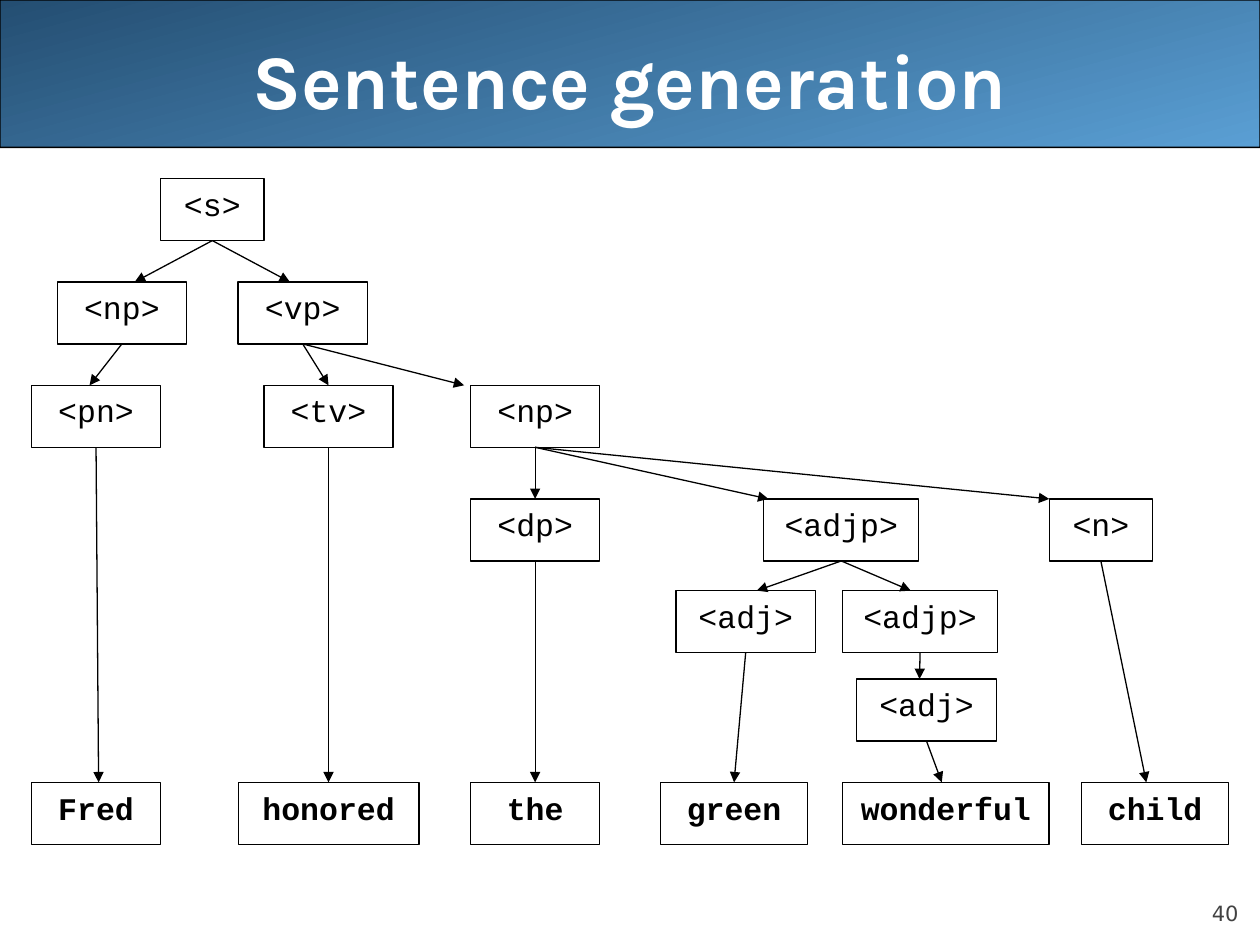
import collections

import lxml.etree
import pptx
import pptx.dml.color
import pptx.enum.shapes
import pptx.enum.text
import pptx.oxml.ns
import pptx.util

COLORS = {"black": "000000", "white": "FFFFFF", "dark": "244E72",
          "light": "5A9FD4", "gray": "424242"}
ALIGN = pptx.enum.text.PP_ALIGN
ANCHOR = pptx.enum.text.MSO_ANCHOR
SHAPE = pptx.enum.shapes.MSO_SHAPE

Box = collections.namedtuple("Box", "left top width height")
# left and width count grid columns; tip is the share of the node's width
# at which the arrow from its parent arrives.
Node = collections.namedtuple("Node", "text left level width parent tip")

COLUMNS, ROWS, NODE_ROWS = 46.34, 25.75, 2.4
LEVEL_ROWS = [0, 4, 8, 12.4, 15.95, 19.37, 23.37]
WORD_LEVEL = len(LEVEL_ROWS) - 1
NODES = {
    "sentence": Node("<s>", 5, 0, 4, None, None),
    "subject": Node("<np>", 1, 1, 5, "sentence", 0.6),
    "predicate": Node("<vp>", 8, 1, 5, "sentence", 0.4),
    "proper noun": Node("<pn>", 0, 2, 5, "subject", 0.45),
    "verb": Node("<tv>", 9, 2, 5, "predicate", 0.5),
    "object": Node("<np>", 17, 2, 5, "predicate", -0.05),
    "determiner": Node("<dp>", 17, 3, 5, "object", 0.5),
    "adjectives": Node("<adjp>", 28.35, 3, 6, "object", 0.03),
    "noun": Node("<n>", 39.4, 3, 4, "object", 0),
    "first adjective": Node("<adj>", 24.95, 4, 5.4, "adjectives", 0.58),
    "more adjectives": Node("<adjp>", 31.4, 4, 6, "adjectives", 0.44),
    "second adjective": Node("<adj>", 31.95, 5, 5.4, "more adjectives", 0.45),
    "Fred": Node("Fred", 0, 6, 5, "proper noun", 0.52),
    "honored": Node("honored", 8, 6, 7, "verb", 0.5),
    "the": Node("the", 17, 6, 5, "determiner", 0.5),
    "green": Node("green", 24.35, 6, 5.7, "first adjective", 0.5),
    "wonderful": Node("wonderful", 31.4, 6, 8, "second adjective", 0.48),
    "child": Node("child", 40.65, 6, 5.7, "noun", 0.44),
}


def color(name):
    return pptx.dml.color.RGBColor.from_string(COLORS[name])


def share(box, left, top, width, height):
    """Return the part of a box given by shares of its size."""
    return Box(int(box.left + left * box.width), int(box.top + top * box.height),
               int(width * box.width), int(height * box.height))


def write(shape, text, font_name, size, color_name, bold=False,
          align=ALIGN.CENTER, anchor=ANCHOR.TOP):
    frame = shape.text_frame
    frame.word_wrap = True
    frame.vertical_anchor = anchor
    paragraph = frame.paragraphs[0]
    paragraph.alignment = align
    run = paragraph.add_run()
    run.text = text
    run.font.name = font_name
    run.font.size = pptx.util.Pt(size)
    run.font.bold = bold
    run.font.color.rgb = color(color_name)


def outline(shape):
    shape.line.color.rgb = color("black")
    shape.line.width = pptx.util.Pt(0.75)


def add_header(slide, box):
    band = slide.shapes.add_shape(SHAPE.ROUNDED_RECTANGLE, *box)
    band.adjustments[0] = 0.001
    band.shadow.inherit = False
    band.fill.gradient()
    band.fill.gradient_angle = 285
    for stop, name in zip(band.fill.gradient_stops, ("dark", "light")):
        stop.color.rgb = color(name)
    outline(band)
    title = slide.shapes.add_textbox(*share(box, 0.05, 0, 0.9, 1.07))
    write(title, "Sentence generation", "Karla", 44, "white", True,
          anchor=ANCHOR.MIDDLE)


def add_page_number(slide, box):
    number = slide.shapes.add_textbox(*box)
    frame = number.text_frame
    frame.margin_left = frame.margin_right = 0
    frame.margin_top = frame.margin_bottom = 0
    write(number, "40", "DejaVu Sans", 12, "gray", align=ALIGN.RIGHT,
          anchor=ANCHOR.BOTTOM)


def add_node(slide, box, node):
    shape = slide.shapes.add_shape(SHAPE.RECTANGLE, *box)
    shape.shadow.inherit = False
    shape.fill.solid()
    shape.fill.fore_color.rgb = color("white")
    outline(shape)
    write(shape, node.text, "Courier New", 18, "black",
          node.level == WORD_LEVEL)


def add_arrow(slide, parent_box, child_box, tip):
    """Join the middle of the parent's foot to the child's top edge."""
    arrow = slide.shapes.add_connector(
        pptx.enum.shapes.MSO_CONNECTOR.STRAIGHT,
        parent_box.left + parent_box.width // 2,
        parent_box.top + parent_box.height,
        int(child_box.left + tip * child_box.width), child_box.top)
    outline(arrow)
    qn = pptx.oxml.ns.qn
    lxml.etree.SubElement(arrow.line._get_or_add_ln(), qn("a:tailEnd"),
                          type="triangle")
    lxml.etree.SubElement(arrow._element.spPr, qn("a:effectLst"))


def add_tree(slide, box):
    boxes = {
        name: share(box, node.left / COLUMNS, LEVEL_ROWS[node.level] / ROWS,
                    node.width / COLUMNS, NODE_ROWS / ROWS)
        for name, node in NODES.items()}
    for name, node in NODES.items():
        add_node(slide, boxes[name], node)
    for name, node in NODES.items():
        if node.parent:
            add_arrow(slide, boxes[node.parent], boxes[name], node.tip)


def main():
    presentation = pptx.Presentation()
    presentation.slide_width = pptx.util.Inches(10)
    presentation.slide_height = pptx.util.Inches(7.5)
    slide = presentation.slides.add_slide(presentation.slide_layouts[6])
    page = Box(0, 0, presentation.slide_width, presentation.slide_height)
    add_header(slide, share(page, 0, 0, 1, 0.156))
    add_page_number(slide, share(page, 0.9, 0.927, 0.083, 0.053))
    add_tree(slide, share(page, 0.025, 0.189, 0.95, 0.704))
    presentation.save("out.pptx")


if __name__ == "__main__":
    main()
